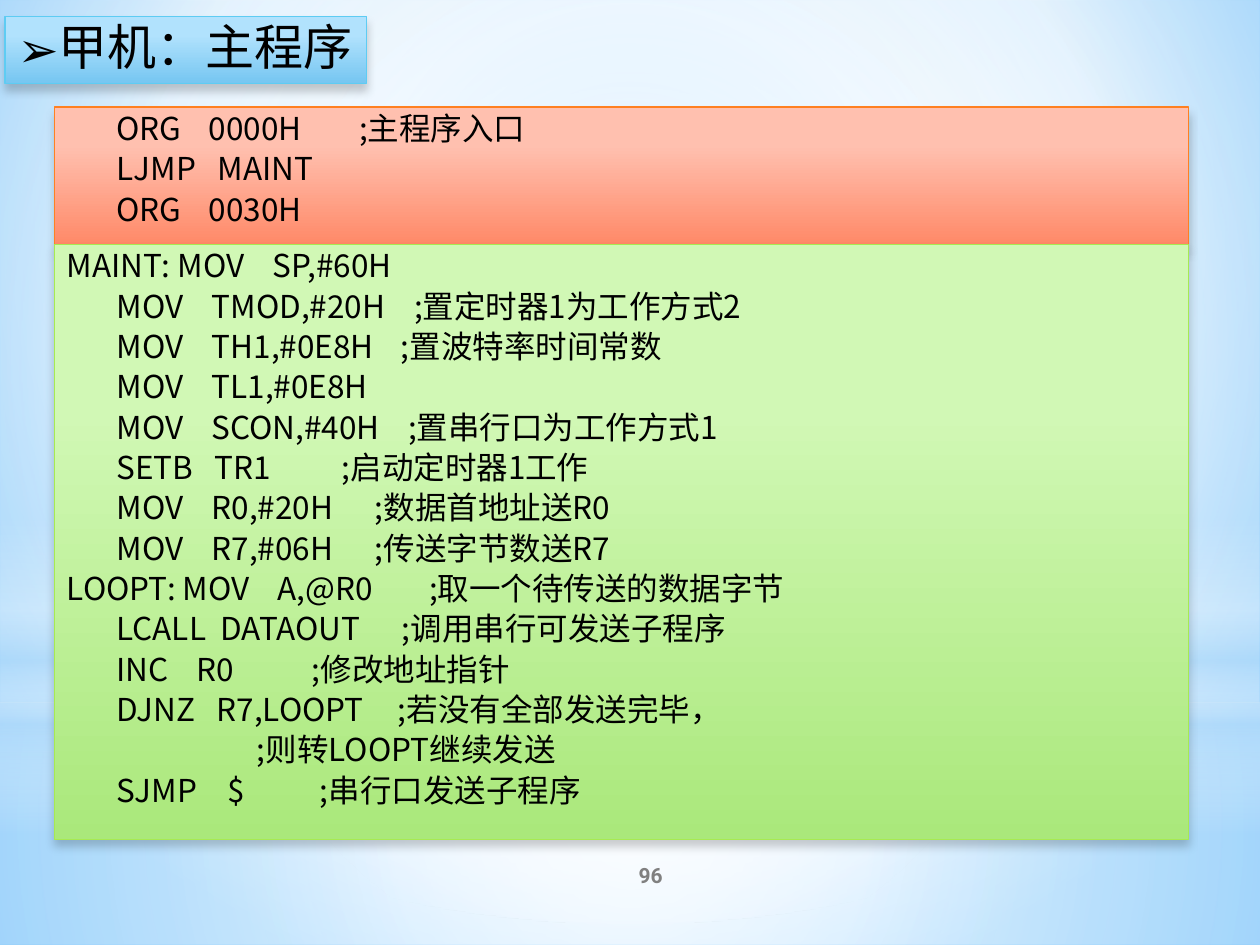
from pptx import Presentation
from pptx.dml.color import RGBColor
from pptx.enum import shapes, text
from pptx.oxml import parse_xml
from pptx.oxml.ns import nsdecls, qn
from pptx.util import Cm, Pt

TITLE = "甲机：主程序"
PAGE = "96"
FONT = "Noto Sans CJK SC"
PAGE_FONT = "Roboto"
BLACK = RGBColor(0x00, 0x00, 0x00)
GREY = RGBColor(0x80, 0x80, 0x80)
ORANGE = RGBColor(0xFF, 0x80, 0x21)
GREEN = RGBColor(0xA7, 0xEA, 0x52)
BLUE = RGBColor(0x5E, 0xCC, 0xF3)
WHITE = RGBColor(0xFF, 0xFF, 0xFF)
SKY = RGBColor(0xB4, 0xDC, 0xFA)

CENTRE = (50, 50, 50, 50)
BACKDROP = [(0, RGBColor(0x9E, 0xD5, 0xFF), 100), (60, WHITE, 100),
            (100, RGBColor(0x5B, 0xB9, 0xFF), 100)]
RECT, OVAL = shapes.MSO_SHAPE.RECTANGLE, shapes.MSO_SHAPE.OVAL
GLOWS = [
    (RECT, 14.17, 4.88, [(0, WHITE, 91), (37, WHITE, 76), (100, SKY, 79)], CENTRE),
    (RECT, 0, 14.17, [(0, WHITE, 89), (48, WHITE, 62), (100, SKY, 79)], CENTRE),
    (RECT, 10.46, 6.35, [(0, WHITE, 0), (29, WHITE, 30), (45, SKY, 40),
                         (55, WHITE, 26), (65, SKY, 60), (100, WHITE, 0)], None),
    (OVAL, 4.45, 14.17, [(0, WHITE, 100), (56, WHITE, 0)], CENTRE),
]

OP = 1.0
ENTRY = [
    (["", "ORG", "0000H", ";主程序入口"], [OP, 2.86, 5.89]),
    (["", "LJMP", "MAINT"], [OP, 3.04]),
    (["", "ORG", "0030H"], [OP, 2.86]),
]
MAIN = [
    (["MAINT: MOV", "SP,#60H"], [4.15]),
    (["", "MOV", "TMOD,#20H", ";置定时器1为工作方式2"], [OP, 2.92, 7.0]),
    (["", "MOV", "TH1,#0E8H", ";置波特率时间常数"], [OP, 2.92, 6.73]),
    (["", "MOV", "TL1,#0E8H"], [OP, 2.92]),
    (["", "MOV", "SCON,#40H", ";置串行口为工作方式1"], [OP, 2.92, 6.88]),
    (["", "SETB", "TR1", ";启动定时器1工作"], [OP, 2.98, 5.54]),
    (["", "MOV", "R0,#20H", ";数据首地址送R0"], [OP, 2.92, 6.21]),
    (["", "MOV", "R7,#06H", ";传送字节数送R7"], [OP, 2.92, 6.21]),
    (["LOOPT: MOV", "A,@R0", ";取一个待传送的数据字节"], [4.25, 7.3]),
    (["", "LCALL", "DATAOUT", ";调用串行可发送子程序"], [OP, 3.1, 6.75]),
    (["", "INC", "R0", ";修改地址指针"], [OP, 2.62, 4.94]),
    (["", "DJNZ", "R7,LOOPT", ";若没有全部发送完毕，"], [OP, 3.02, 6.67]),
    (["", ";则转LOOPT继续发送"], [3.83]),
    (["", "SJMP", "$", ";串行口发送子程序"], [OP, 3.23, 5.1]),
]
PANELS = [
    (2.16, 2.78, "FFC0AF", "FF8968", ORANGE, ENTRY),
    (4.93, 11.99, "D1F8B5", "AAE87B", GREEN, MAIN),
]


def xml(tag, attrs="", inner=""):
    return parse_xml(f"<a:{tag} {nsdecls('a')} {attrs}>{inner}</a:{tag}>")


def set_gradient(fill, element, stops, focus=None):
    fill.gradient()
    gs = "".join(
        f'<a:gs pos="{pos * 1000}"><a:srgbClr val="{color}">'
        f'<a:alpha val="{alpha * 1000}"/></a:srgbClr></a:gs>'
        for pos, color, alpha in stops)
    shade = '<a:lin ang="5400000" scaled="0"/>'
    if focus:
        sides = " ".join(f'{k}="{v * 1000}"' for k, v in zip("ltrb", focus))
        shade = f'<a:path path="circle"><a:fillToRect {sides}/></a:path>'
    old = next(element.iter(qn("a:gradFill")))
    old.getparent().replace(
        old, xml("gradFill", 'rotWithShape="1"', f"<a:gsLst>{gs}</a:gsLst>{shade}"))


def style_panel(sp, top, bottom, line):
    set_gradient(sp.fill, sp._element, [(28, top, 100), (100, bottom, 100)])
    sp.line.color.rgb = line
    sp.line.width = Pt(0.75)
    sp.shadow.inherit = False
    sp._element.spPr.find(qn("a:effectLst")).append(xml(
        "outerShdw", f'blurRad="{Pt(5)}" dist="{Pt(4)}" dir="5400000" rotWithShape="0"',
        '<a:srgbClr val="000000"><a:alpha val="20000"/></a:srgbClr>'))


def add_run(p, words, size, font=FONT, color=BLACK, bold=False):
    r = p.add_run()
    r.text = words
    r.font.size, r.font.name, r.font.bold = Pt(size), font, bold
    r.font.color.rgb = color
    r.font._element.append(xml("ea", f'typeface="{font}"'))


def add_code(tf, lines):
    tf.word_wrap = True
    tf.vertical_anchor = text.MSO_ANCHOR.TOP
    for i, (parts, stops) in enumerate(lines):
        p = tf.add_paragraph() if i else tf.paragraphs[0]
        p.alignment = text.PP_ALIGN.LEFT
        p.line_spacing = 0.9
        pPr = p._p.get_or_add_pPr()
        pPr.append(xml("spcBef", "", '<a:spcPct val="20000"/>'))
        pPr.append(xml("tabLst", "", "".join(
            f'<a:tab pos="{Cm(x)}" algn="l"/>' for x in stops)))
        add_run(p, "\t".join(parts), 18)


def main():
    prs = Presentation()
    prs.slide_width, prs.slide_height = Cm(25.4), Cm(19.05)
    s = prs.slides.add_slide(prs.slide_layouts[5])
    set_gradient(s.background.fill, s._element, BACKDROP, (20, 10, 20, 60))

    for kind, top, height, stops, focus in GLOWS:
        sp = s.shapes.add_shape(kind, 0, Cm(top), prs.slide_width, Cm(height))
        set_gradient(sp.fill, sp._element, stops, focus)
        sp.line.fill.background()
        sp.shadow.inherit = False

    box = s.shapes.add_textbox(Cm(10.58), Cm(17.13), Cm(5.08), Cm(1.02))
    tf = box.text_frame
    tf.word_wrap = True
    tf.vertical_anchor = text.MSO_ANCHOR.MIDDLE
    p = tf.paragraphs[0]
    p.alignment = text.PP_ALIGN.CENTER
    add_run(p, PAGE, 12, PAGE_FONT, GREY, True)

    for top, height, light, dark, line, lines in PANELS:
        sp = s.shapes.add_shape(RECT, Cm(1.1), Cm(top), Cm(22.86), Cm(height))
        style_panel(sp, light, dark, line)
        add_code(sp.text_frame, lines)

    title = s.shapes.title
    s.shapes._spTree.append(title._element)
    title.left, title.top, title.width, title.height = Cm(0.1), Cm(0.33), Cm(7.29), Cm(1.35)
    style_panel(title, "B1E2FD", "76C6F1", BLUE)
    tf = title.text_frame
    tf.word_wrap = False
    tf.auto_size = text.MSO_AUTO_SIZE.NONE
    tf.vertical_anchor = text.MSO_ANCHOR.TOP
    p = tf.paragraphs[0]
    p.alignment = text.PP_ALIGN.LEFT
    p.line_spacing = 0.9
    pPr = p._p.get_or_add_pPr()
    pPr.set("marL", str(Cm(0.82)))
    pPr.set("indent", str(-Cm(0.82)))
    pPr.append(xml("buFont", f'typeface="{FONT}"'))
    pPr.append(xml("buChar", 'char="➢"'))
    add_run(p, TITLE, 28)

    prs.save("out.pptx")


if __name__ == "__main__":
    main()
